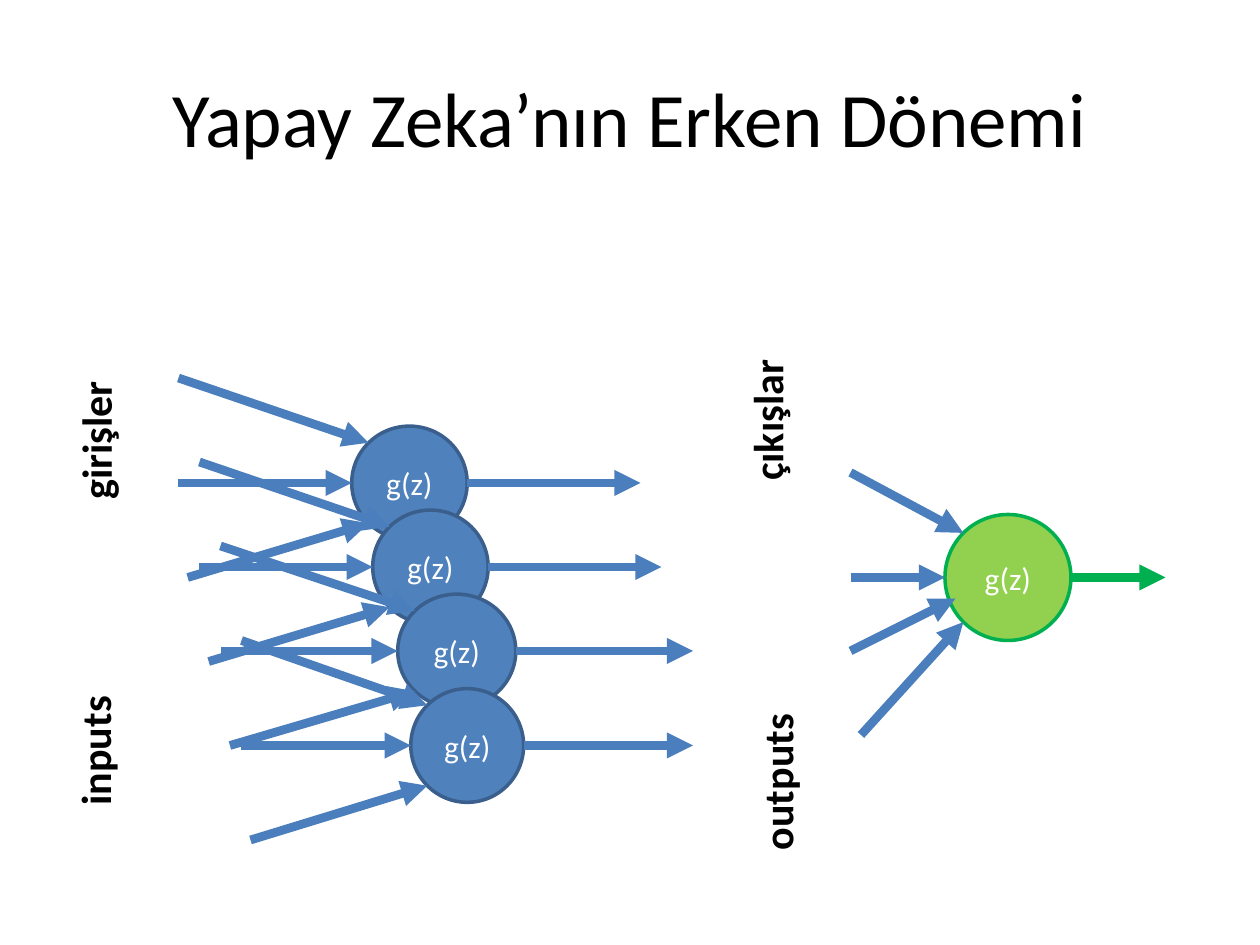
import dataclasses

import pptx
import pptx.dml.color
import pptx.enum.shapes
import pptx.enum.text
import pptx.oxml
import pptx.oxml.ns
import pptx.util

Pt = pptx.util.Pt
DIAGONAL = 0.146


@dataclasses.dataclass(frozen=True)
class Theme:
    font: str = "Calibri"
    title_size: float = 44
    label_size: float = 24
    neuron_size: float = 18
    outline_width: float = 2
    arrow_width: float = 5
    text: str = "000000"
    neuron_text: str = "FFFFFF"
    hidden_fill: str = "4F81BD"
    hidden_outline: str = "3A5F8C"
    output_fill: str = "92D050"
    output_outline: str = "00B050"
    arrow: str = "4B7EBC"


THEME = Theme()


@dataclasses.dataclass(frozen=True)
class Box:
    left: float
    top: float
    width: float
    height: float

    def lengths(self):
        return [Pt(value) for value in dataclasses.astuple(self)]


def rgb(color):
    return pptx.dml.color.RGBColor.from_string(color)


def add_run(paragraph, text, size, color, bold=False):
    run = paragraph.add_run()
    run.text = text
    run.font.name = THEME.font
    run.font.size = Pt(size)
    run.font.bold = bold
    run.font.color.rgb = rgb(color)


def add_title(slide, box, text):
    title = slide.shapes.title
    title.left, title.top, title.width, title.height = box.lengths()
    frame = title.text_frame
    frame.vertical_anchor = pptx.enum.text.MSO_ANCHOR.MIDDLE
    paragraph = frame.paragraphs[0]
    paragraph.alignment = pptx.enum.text.PP_ALIGN.CENTER
    add_run(paragraph, text, THEME.title_size, THEME.text)


def add_side_label(slide, box, text):
    label = slide.shapes.add_textbox(*box.lengths())
    label.rotation = 270
    frame = label.text_frame
    frame.word_wrap = False
    frame.auto_size = pptx.enum.text.MSO_AUTO_SIZE.SHAPE_TO_FIT_TEXT
    add_run(frame.paragraphs[0], text, THEME.label_size, THEME.text, bold=True)


def add_circle(slide, box, fill, outline):
    circle = slide.shapes.add_shape(
        pptx.enum.shapes.MSO_SHAPE.OVAL, *box.lengths()
    )
    circle.shadow.inherit = False
    circle.fill.solid()
    circle.fill.fore_color.rgb = rgb(fill)
    circle.line.color.rgb = rgb(outline)
    circle.line.width = Pt(THEME.outline_width)
    frame = circle.text_frame
    frame.vertical_anchor = pptx.enum.text.MSO_ANCHOR.MIDDLE
    paragraph = frame.paragraphs[0]
    paragraph.alignment = pptx.enum.text.PP_ALIGN.CENTER
    add_run(paragraph, "g(z)", THEME.neuron_size, THEME.neuron_text)


def add_arrow(slide, box, start, end, color=THEME.arrow):
    arrow = slide.shapes.add_connector(
        pptx.enum.shapes.MSO_CONNECTOR.STRAIGHT,
        Pt(box.left + start[0]), Pt(box.top + start[1]),
        Pt(box.left + end[0]), Pt(box.top + end[1]),
    )
    arrow.line.color.rgb = rgb(color)
    arrow.line.width = Pt(THEME.arrow_width)
    namespace = pptx.oxml.ns.nsdecls("a")
    arrow.line._get_or_add_ln().append(
        pptx.oxml.parse_xml(f'<a:tailEnd {namespace} type="triangle"/>')
    )
    arrow._element.spPr.append(
        pptx.oxml.parse_xml(f"<a:effectLst {namespace}/>")
    )


def add_hidden_neuron(slide, box):
    left, width = 0.375 * box.width, 0.25 * box.width
    top, height = 27.5, 65
    middle = top + height / 2
    near = left + DIAGONAL * width
    add_circle(slide, Box(box.left + left, box.top + top, width, height),
               THEME.hidden_fill, THEME.hidden_outline)
    for start, end in (
        ((0, 0), (near, top + DIAGONAL * height)),
        ((0, middle), (left, middle)),
        ((0.02 * box.width, box.height), (near, top + (1 - DIAGONAL) * height)),
        ((left + width, middle), (box.width, middle)),
    ):
        add_arrow(slide, box, start, end)


def add_output_neuron(slide, box):
    left, top, size = 54, 24, 72
    middle = top + size / 2
    near = left + DIAGONAL * size
    add_circle(slide, Box(box.left + left, box.top + top, size, size),
               THEME.output_fill, THEME.output_outline)
    for start, end in (
        ((0, 0), (near, top + DIAGONAL * size)),
        ((0, middle), (left, middle)),
        ((0, 102), (left + 6, middle + 12)),
        ((6, box.height), (near, top + (1 - DIAGONAL) * size)),
    ):
        add_arrow(slide, box, start, end)
    add_arrow(slide, box, (left + size, middle), (box.width, middle),
              THEME.output_outline)


def main():
    presentation = pptx.Presentation()
    presentation.slide_width = Pt(720)
    presentation.slide_height = Pt(540)
    slide = presentation.slides.add_slide(presentation.slide_layouts[5])

    add_title(slide, Box(36, 21.6, 648, 90), "Yapay Zeka’nın Erken Dönemi")
    hidden_tops_and_widths = ((216, 264), (264, 264), (312, 270), (366, 258))
    for index, (top, width) in enumerate(hidden_tops_and_widths):
        add_hidden_neuron(slide, Box(102 + 12 * index, top, width, 114))
    add_output_neuron(slide, Box(486, 270, 180, 150))
    for text, left, top, width in (
        ("girişler", 13, 233.3, 82.8),
        ("çıkışlar", 396, 221.8, 84.2),
        ("inputs", 15.1, 410.4, 77.8),
        ("outputs", 397.4, 428.4, 92.9),
    ):
        add_side_label(slide, Box(left, top, width, 36), text)

    presentation.save("out.pptx")


if __name__ == "__main__":
    main()
